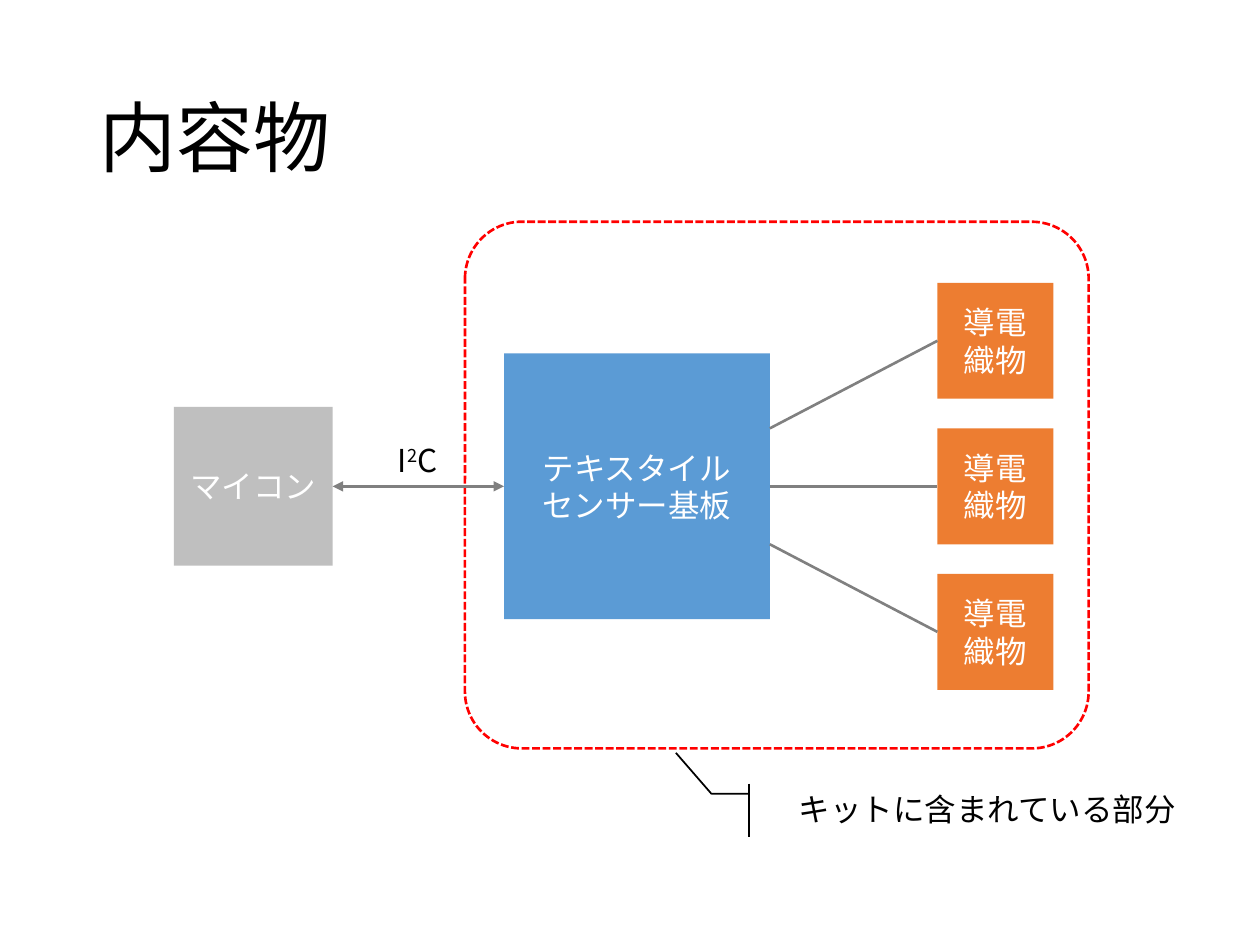
from dataclasses import dataclass

from lxml import etree
from pptx import Presentation
from pptx.dml.color import RGBColor
from pptx.enum.dml import MSO_LINE
from pptx.enum.shapes import MSO_CONNECTOR, MSO_SHAPE
from pptx.enum.text import MSO_ANCHOR, MSO_AUTO_SIZE, PP_ALIGN
from pptx.oxml.ns import qn
from pptx.util import Inches, Pt

RECTANGLE = MSO_SHAPE.RECTANGLE
ROUNDED = MSO_SHAPE.ROUNDED_RECTANGLE
CALLOUT = MSO_SHAPE.LINE_CALLOUT_2_ACCENT_BAR
STRAIGHT = MSO_CONNECTOR.STRAIGHT
DASHED = MSO_LINE.SQUARE_DOT
LEFT, CENTER = PP_ALIGN.LEFT, PP_ALIGN.CENTER
TOP, MIDDLE = MSO_ANCHOR.TOP, MSO_ANCHOR.MIDDLE
FIT_SHAPE = MSO_AUTO_SIZE.SHAPE_TO_FIT_TEXT
LEFT_SIDE, RIGHT_SIDE = 1, 3


@dataclass(frozen=True)
class Theme:
    font: str = "Noto Sans CJK JP"
    title_size: float = 44
    body_size: float = 18
    line_width: float = 1.5
    callout_width: float = 1
    text: str = "000000"
    light_text: str = "FFFFFF"
    board: str = "5B9BD5"
    fabric: str = "ED7D31"
    controller: str = "BFBFBF"
    wire: str = "808080"
    frame: str = "FF0000"


THEME = Theme()


def color(value):
    return RGBColor.from_string(value)


def write_text(shape, lines, size=THEME.body_size, text_color=THEME.text,
               align=LEFT, anchor=TOP, wrap=True, spacing=None):
    frame = shape.text_frame
    frame.word_wrap = wrap
    frame.vertical_anchor = anchor
    for index, line in enumerate(lines):
        paragraph = frame.add_paragraph() if index else frame.paragraphs[0]
        paragraph.alignment = align
        if spacing:
            paragraph.line_spacing = spacing
        for text, baseline in [(line, 0)] if isinstance(line, str) else line:
            run = paragraph.add_run()
            run.text = text
            run.font.size = Pt(size)
            run.font.name = THEME.font
            run.font.color.rgb = color(text_color)
            properties = run.font._element
            east_asian = etree.SubElement(properties, qn("a:ea"))
            east_asian.set("typeface", THEME.font)
            if baseline:
                properties.set("baseline", str(baseline * 1000))


def add_shape(slide, kind, box, fill=None, line=None, width=THEME.line_width):
    shape = slide.shapes.add_shape(kind, *map(Inches, box))
    shape.shadow.inherit = False
    if fill:
        shape.fill.solid()
        shape.fill.fore_color.rgb = color(fill)
    else:
        shape.fill.background()
    if line:
        shape.line.color.rgb = color(line)
        shape.line.width = Pt(width)
    else:
        shape.line.fill.background()
    return shape


def add_block(slide, box, lines, fill):
    block = add_shape(slide, RECTANGLE, box, fill=fill)
    write_text(block, lines, text_color=THEME.light_text, align=CENTER, anchor=MIDDLE)
    return block


def add_wire(slide, start, end, arrows=False):
    wire = slide.shapes.add_connector(STRAIGHT, *map(Inches, start + end))
    wire.line.color.rgb = color(THEME.wire)
    wire.line.width = Pt(THEME.line_width)
    if arrows:
        line = wire.line._get_or_add_ln()
        for tag in ("a:headEnd", "a:tailEnd"):
            etree.SubElement(line, qn(tag)).set("type", "triangle")
    etree.SubElement(wire._element.spPr, qn("a:effectLst"))
    return wire


def add_title(slide, box, text):
    title = slide.shapes.add_textbox(*map(Inches, box))
    write_text(title, [text], size=THEME.title_size, anchor=MIDDLE, spacing=0.9)


def add_kit(slide, box):
    left, top, width, height = box
    center = top + height / 2 + 0.01
    board_size, fabric_size, pitch, wire_gap = 2.11, 0.92, 1.155, 0.46
    board_left = left + 0.31
    board_right = board_left + board_size
    fabric_left = left + 3.75
    board = add_block(
        slide, (board_left, center - board_size / 2, board_size, board_size),
        ["テキスタイル", "センサー基板"], THEME.board)
    for row in (-1, 0, 1):
        fabric_center = center + row * pitch
        fabric = add_block(
            slide,
            (fabric_left, fabric_center - fabric_size / 2, fabric_size, fabric_size),
            ["導電", "織物"], THEME.fabric)
        wire = add_wire(slide, (board_right, center + row * wire_gap),
                        (fabric_left, fabric_center))
        if row == 0:
            wire.begin_connect(board, RIGHT_SIDE)
        wire.end_connect(fabric, LEFT_SIDE)
    frame = add_shape(slide, ROUNDED, box, line=THEME.frame)
    frame.adjustments[0] = 0.108
    frame.line.dash_style = DASHED
    return board


def add_controller(slide, box, board):
    left, top, width, height = box
    controller = add_block(slide, box, ["マイコン"], THEME.controller)
    center = top + height / 2
    bus = add_wire(slide, (left + width, center), (4, center), arrows=True)
    bus.begin_connect(controller, RIGHT_SIDE)
    bus.end_connect(board, LEFT_SIDE)
    label_box = (left + width + 0.42, center - 0.41, 0.52, 0.4)
    label = slide.shapes.add_textbox(*map(Inches, label_box))
    write_text(label, [[("I", 0), ("2", 30), ("C", 0)]], wrap=False)
    label.text_frame.auto_size = FIT_SHAPE


def add_kit_callout(slide, box, text):
    callout = add_shape(slide, CALLOUT, box, line=THEME.text, width=THEME.callout_width)
    for index, value in enumerate((0.188, -0.083, 0.188, -0.167, -0.584, -0.246)):
        callout.adjustments[index] = value
    write_text(callout, [text])


def main():
    presentation = Presentation()
    presentation.slide_width = Inches(10)
    presentation.slide_height = Inches(7.5)
    slide = presentation.slides.add_slide(presentation.slide_layouts[6])
    add_title(slide, (0.69, 0.4, 8.62, 1.45), "内容物")
    board = add_kit(slide, (3.69, 1.76, 4.95, 4.18))
    add_controller(slide, (1.38, 3.23, 1.26, 1.26), board)
    add_kit_callout(slide, (6.24, 6.22, 3.56, 0.42), "キットに含まれている部分")
    presentation.save("out.pptx")


if __name__ == "__main__":
    main()
